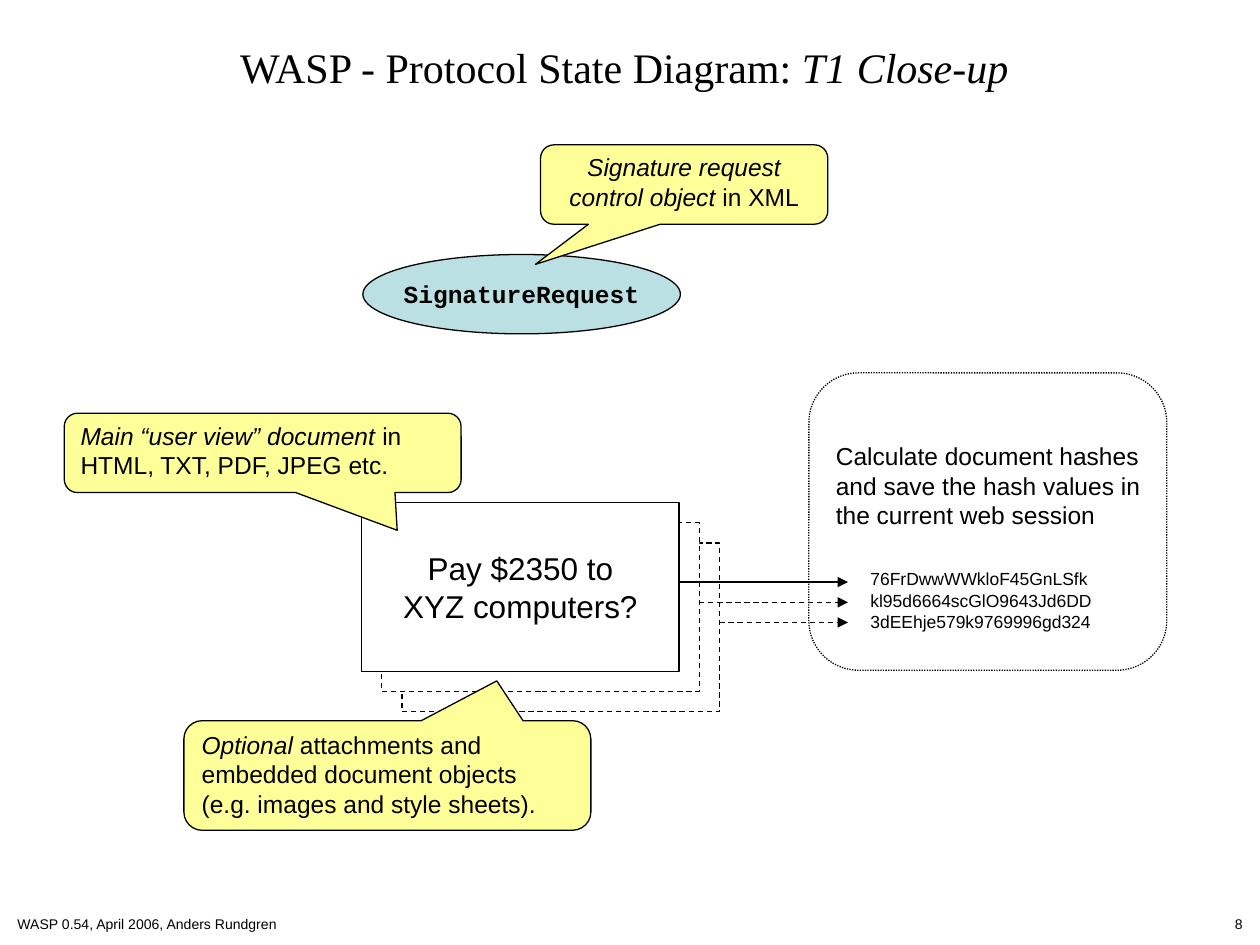
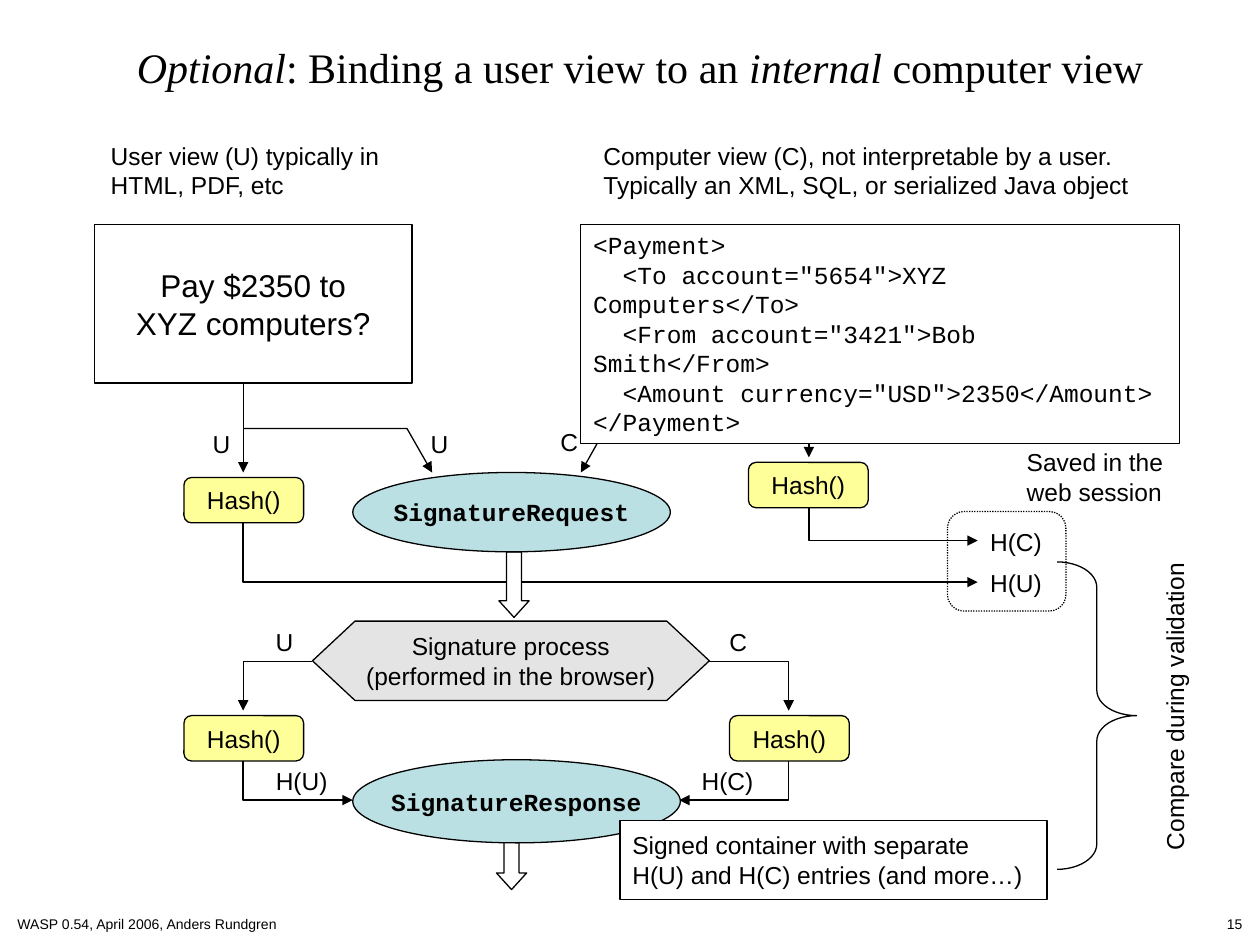
from dataclasses import dataclass
from typing import Optional

from lxml import etree
from pptx import Presentation
from pptx import util as u
from pptx.dml import color as clr
from pptx.enum import dml, shapes, text
from pptx.oxml import ns

COLORS = {
    "ink": "000000",
    "paper": "FFFFFF",
    "message": "BBE0E3",
    "note": "FFFF99",
    "process": "E4E4E4",
}
SANS, SERIF, MONO = "Arial", "Times New Roman", "Courier New"
LEFT, CENTER, RIGHT = text.PP_ALIGN.LEFT, text.PP_ALIGN.CENTER, text.PP_ALIGN.RIGHT
TOP, MIDDLE = text.MSO_ANCHOR.TOP, text.MSO_ANCHOR.MIDDLE
DASH, DOTS = dml.MSO_LINE.DASH, dml.MSO_LINE.ROUND_DOT
KIND = shapes.MSO_SHAPE
FOOTER = "WASP 0.54, April 2006, Anders Rundgren"
PAYMENT_PROMPT = "Pay $2350 to\nXYZ computers?"
PAYMENT_XML = """<Payment>
  <To account=″5654″>XYZ Computers</To>
  <From account=″3421″>Bob Smith</From>
  <Amount currency=″USD″>2350</Amount>
</Payment>"""


@dataclass(frozen=True)
class TextStyle:
    size: float = 14
    font: str = SANS
    bold: bool = False
    align: text.PP_ALIGN = CENTER
    anchor: text.MSO_ANCHOR = MIDDLE
    wrap: bool = False
    top: float = 0.05
    bottom: float = 0.05


@dataclass(frozen=True)
class Box:
    x: float
    y: float
    w: float
    h: float
    text: str = ""
    style: TextStyle = TextStyle()
    kind: KIND = KIND.RECTANGLE
    fill: Optional[str] = "paper"
    dash: Optional[dml.MSO_LINE] = None
    adj: tuple[float, ...] = ()


LABEL = TextStyle(align=LEFT, anchor=TOP)
PROMPT = TextStyle(size=18)
MESSAGE = TextStyle(font=MONO, bold=True)
CODE = TextStyle(font=MONO, align=LEFT, anchor=TOP, wrap=True)
CALLOUT = TextStyle(align=LEFT, anchor=TOP, wrap=True, top=0.03)
CENTERED_CALLOUT = TextStyle(anchor=TOP, wrap=True, top=0.03)
HASH_VALUE = TextStyle(size=10, align=LEFT, anchor=TOP, wrap=True)
TITLE = TextStyle(size=24, font=SERIF, anchor=TOP, wrap=True)


def rgb(name: str) -> clr.RGBColor:
    return clr.RGBColor.from_string(COLORS[name])


def write(shape, content: str, style: TextStyle) -> None:
    """Text between asterisks is set in italics."""
    tf = shape.text_frame
    tf.auto_size = text.MSO_AUTO_SIZE.NONE
    tf.word_wrap = style.wrap
    tf.vertical_anchor = style.anchor
    tf.margin_left = tf.margin_right = u.Inches(0.1)
    tf.margin_top, tf.margin_bottom = u.Inches(style.top), u.Inches(style.bottom)
    p = tf.paragraphs[0]
    p.alignment = style.align
    p.font.name, p.font.size, p.font.bold = style.font, u.Pt(style.size), style.bold
    p.font.color.rgb = rgb("ink")
    for i, part in enumerate(content.split("*")):
        for j, line in enumerate(part.split("\n")):
            if j:
                p.add_line_break()
            if line:
                r = p.add_run()
                r.text = line
                if i % 2:
                    r.font.italic = True


def set_line(shape, dash: Optional[dml.MSO_LINE] = None) -> None:
    shape.line.color.rgb = rgb("ink")
    shape.line.width = u.Pt(0.75)
    if dash is not None:
        shape.line.dash_style = dash


def add_box(slide, box: Box):
    sp = slide.shapes.add_shape(box.kind, *map(u.Inches, (box.x, box.y, box.w, box.h)))
    sp.shadow.inherit = False
    for i, value in enumerate(box.adj):
        sp.adjustments[i] = value
    if box.fill:
        sp.fill.solid()
        sp.fill.fore_color.rgb = rgb(box.fill)
    else:
        sp.fill.background()
    set_line(sp, box.dash)
    if box.text:
        write(sp, box.text, box.style)
    return sp


def add_label(slide, x: float, y: float, w: float, h: float, content: str,
              style: TextStyle = LABEL):
    sp = slide.shapes.add_textbox(*map(u.Inches, (x, y, w, h)))
    write(sp, content, style)
    return sp


def add_arrow(slide, *points: tuple[float, float],
              dash: Optional[dml.MSO_LINE] = None) -> None:
    stops = [(u.Inches(x), u.Inches(y)) for x, y in points]
    if len(stops) == 2:
        sp = slide.shapes.add_connector(shapes.MSO_CONNECTOR.STRAIGHT,
                                        *stops[0], *stops[1])
        etree.SubElement(sp._element.spPr, ns.qn("a:effectLst"))
    else:
        builder = slide.shapes.build_freeform(*stops[0])
        builder.add_line_segments(stops[1:], close=False)
        sp = builder.convert_to_shape()
        sp.shadow.inherit = False
        sp.fill.background()
    set_line(sp, dash)
    ln = sp._element.spPr.find(ns.qn("a:ln"))
    etree.SubElement(ln, ns.qn("a:tailEnd"), type="triangle")


def message(x: float, y: float, w: float, h: float, name: str) -> Box:
    return Box(x, y, w, h, name, MESSAGE, KIND.OVAL, "message")


def callout(x: float, y: float, w: float, h: float, content: str,
            tip: tuple[float, float], style: TextStyle = CALLOUT) -> Box:
    return Box(x, y, w, h, content, style, KIND.ROUNDED_RECTANGULAR_CALLOUT,
               "note", adj=(*tip, 0.167))


def hash_step(x: float, y: float) -> Box:
    return Box(x, y, 0.95, 0.36, "Hash()", TextStyle(), KIND.ROUNDED_RECTANGLE,
               "note", adj=(0.167,))


def session(x: float, y: float, w: float, h: float, content: str = "") -> Box:
    return Box(x, y, w, h, content, TextStyle(align=LEFT, bottom=0.62),
               KIND.ROUNDED_RECTANGLE, None, DOTS, (0.167,))


def new_slide(prs, title: str, x: float, w: float, number: int):
    slide = prs.slides.add_slide(prs.slide_layouts[5])
    sp = slide.shapes.title
    sp.left, sp.top, sp.width, sp.height = map(u.Inches, (x, 0.28, w, 0.5))
    write(sp, title, TITLE)
    for left, content, align in ((0.04, FOOTER, LEFT), (6.77, str(number), RIGHT)):
        style = TextStyle(size=8, align=align, anchor=TOP, wrap=True)
        add_label(slide, left, 7.22, 3.19, 0.24, content, style)
    return slide


def close_up_slide(prs) -> None:
    s = new_slide(prs, "WASP - Protocol State Diagram: *T1 Close-up*", 1.53, 6.85, 8)
    step = 0.16
    for i in (2, 1, 0):
        add_box(s, Box(2.87 + i * step, 3.99 + i * step, 2.52, 1.34,
                       "" if i else PAYMENT_PROMPT, PROMPT, dash=DASH if i else None))
    add_box(s, message(2.88, 2.02, 2.52, 0.63, "SignatureRequest"))
    add_box(s, session(6.42, 2.96, 2.84, 2.36,
                       "Calculate document hashes\nand save the hash values in\n"
                       "the current web session"))
    hashes = ("76FrDwwWWkloF45GnLSfk", "kl95d6664scGlO9643Jd6DD",
              "3dEEhje579k9769996gd324")
    for i, value in enumerate(hashes):
        y = 4.62 + i * step
        add_arrow(s, (5.39 + i * step, y), (6.73, y), dash=DASH if i else None)
        add_label(s, 6.81, 4.46 + i * 0.17, 2.05, 0.27, value, HASH_VALUE)
    for box in (
        callout(4.29, 1.15, 2.28, 0.63, "*Signature request\ncontrol object* in XML",
                (-0.518, 1.006), CENTERED_CALLOUT),
        callout(0.51, 3.28, 3.15, 0.63,
                "*Main “user view” document* in HTML, TXT, PDF, JPEG etc.",
                (0.339, 0.975)),
        callout(1.46, 5.72, 3.23, 0.87,
                "*Optional *attachments and embedded document objects "
                "(e.g. images and style sheets).", (0.269, -0.863)),
    ):
        add_box(s, box)


def binding_slide(prs) -> None:
    s = new_slide(prs, "*Optional*: Binding a user view to an *internal* computer view",
                  0.67, 8.82, 15)
    user_x, computer_x, reply_x, saved_x = 1.93, 6.42, 6.26, 7.76
    for route in (
        ((user_x, 4.14), (user_x, 4.62), (saved_x, 4.62)),
        ((computer_x, 4), (computer_x, 4.29), (saved_x, 4.29)),
        ((user_x, 3.04), (user_x, 3.75)),
        ((computer_x, 3), (computer_x, 3.63)),
        ((user_x, 3.4), (3.23, 3.4), (3.43, 3.75)),
        ((computer_x, 3.36), (4.83, 3.36), (4.61, 3.75)),
        ((2.48, 5.25), (user_x, 5.25), (user_x, 5.64)),
        ((5.63, 5.25), (reply_x, 5.25), (reply_x, 5.64)),
        ((user_x, 6.03), (user_x, 6.35), (2.8, 6.35)),
        ((reply_x, 6.03), (reply_x, 6.35), (5.39, 6.35)),
    ):
        add_arrow(s, *route)
    for x, y in ((3.96, 4.38), (3.94, 6.54)):
        add_box(s, Box(x, y, 0.24, 0.52, kind=KIND.DOWN_ARROW, adj=(0.5, 0.55)))
    for box in (
        Box(0.75, 1.78, 2.52, 1.26, PAYMENT_PROMPT, PROMPT),
        Box(4.61, 1.78, 4.75, 1.74, PAYMENT_XML, CODE),
        message(2.8, 3.75, 2.52, 0.63, "SignatureRequest"),
        Box(2.48, 4.93, 3.15, 0.63, "Signature process\n(performed in the browser)",
            kind=KIND.HEXAGON, fill="process", adj=(0.536,)),
        message(2.8, 6.03, 2.6, 0.66, "SignatureResponse"),
        Box(4.92, 6.51, 3.39, 0.63,
            "Signed container with separate\nH(U) and H(C) entries (and more…)",
            TextStyle(align=LEFT)),
        session(7.52, 4.06, 0.94, 0.79),
        Box(8.39, 4.46, 0.63, 2.44, kind=KIND.RIGHT_BRACE, fill=None, adj=(0.32, 0.5)),
        hash_step(1.46, 3.79),
        hash_step(5.94, 3.67),
        hash_step(1.46, 5.68),
        hash_step(5.79, 5.68),
    ):
        add_box(s, box)
    for x, y, content in (
        (1.59, 3.36, "U"), (3.32, 3.36, "U"), (4.35, 3.34, "C"),
        (2.09, 4.93, "U"), (5.69, 4.93, "C"),
        (saved_x, 4.13, "H(C)"), (saved_x, 4.46, "H(U)"),
        (2.09, 6.03, "H(U)"), (5.47, 6.03, "H(C)"),
    ):
        add_label(s, x, y, 0.34 if len(content) == 1 else 0.61, 0.34, content)
    add_label(s, 0.78, 1.07, 2.33, 0.57, "User view (U) typically in\nHTML, PDF, etc")
    add_label(s, 4.69, 1.07, 4.65, 0.57,
              "Computer view (C), not interpretable by a user.\n"
              "Typically an XML, SQL, or serialized Java object")
    add_label(s, 8.05, 3.5, 1.28, 0.57, "Saved in the\nweb session")
    add_label(s, 8.09, 5.44, 2.47, 0.34, "Compare during validation").rotation = 270


def main() -> None:
    prs = Presentation()
    prs.slide_width, prs.slide_height = u.Inches(10), u.Inches(7.5)
    close_up_slide(prs)
    binding_slide(prs)
    prs.save("out.pptx")


if __name__ == "__main__":
    main()
